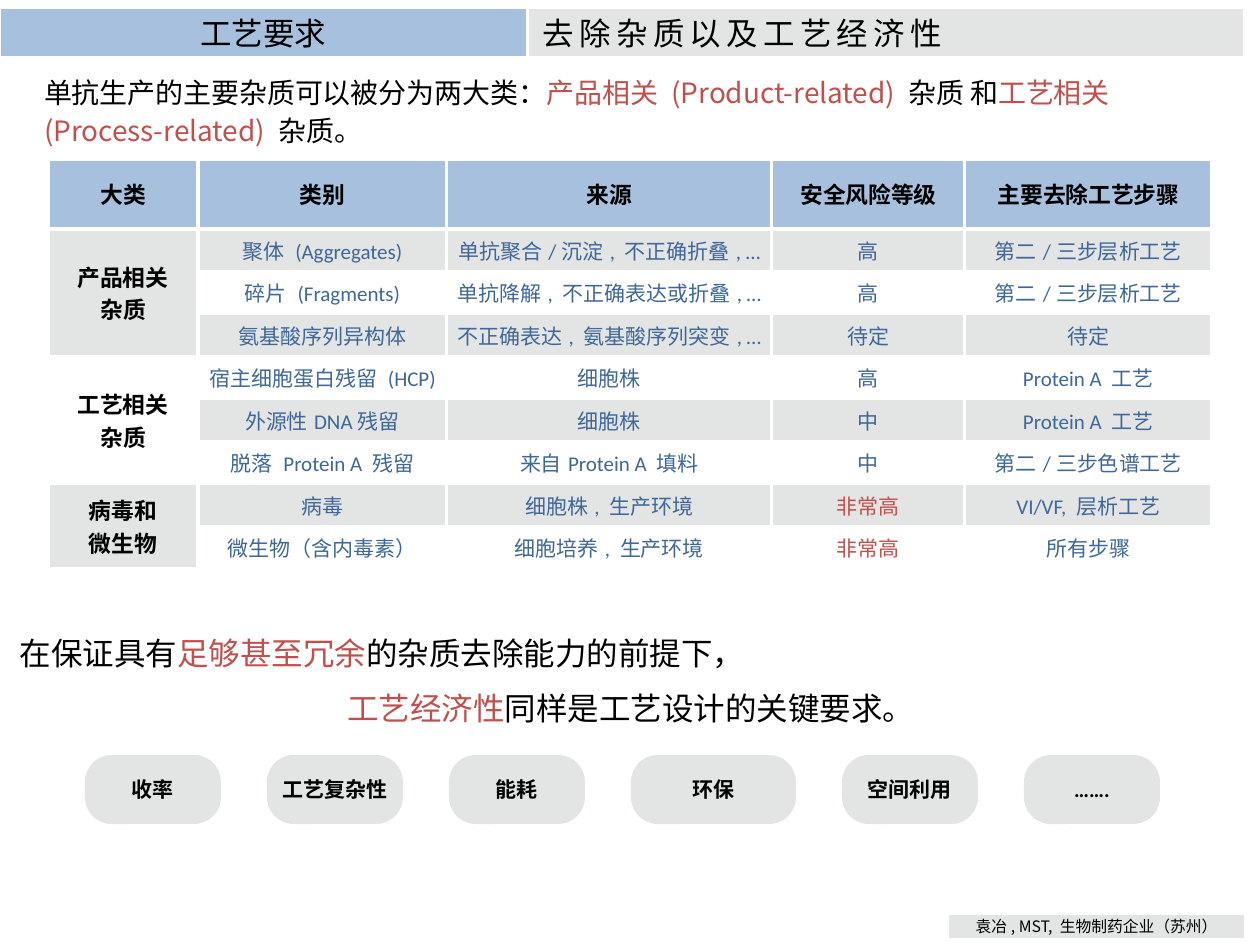
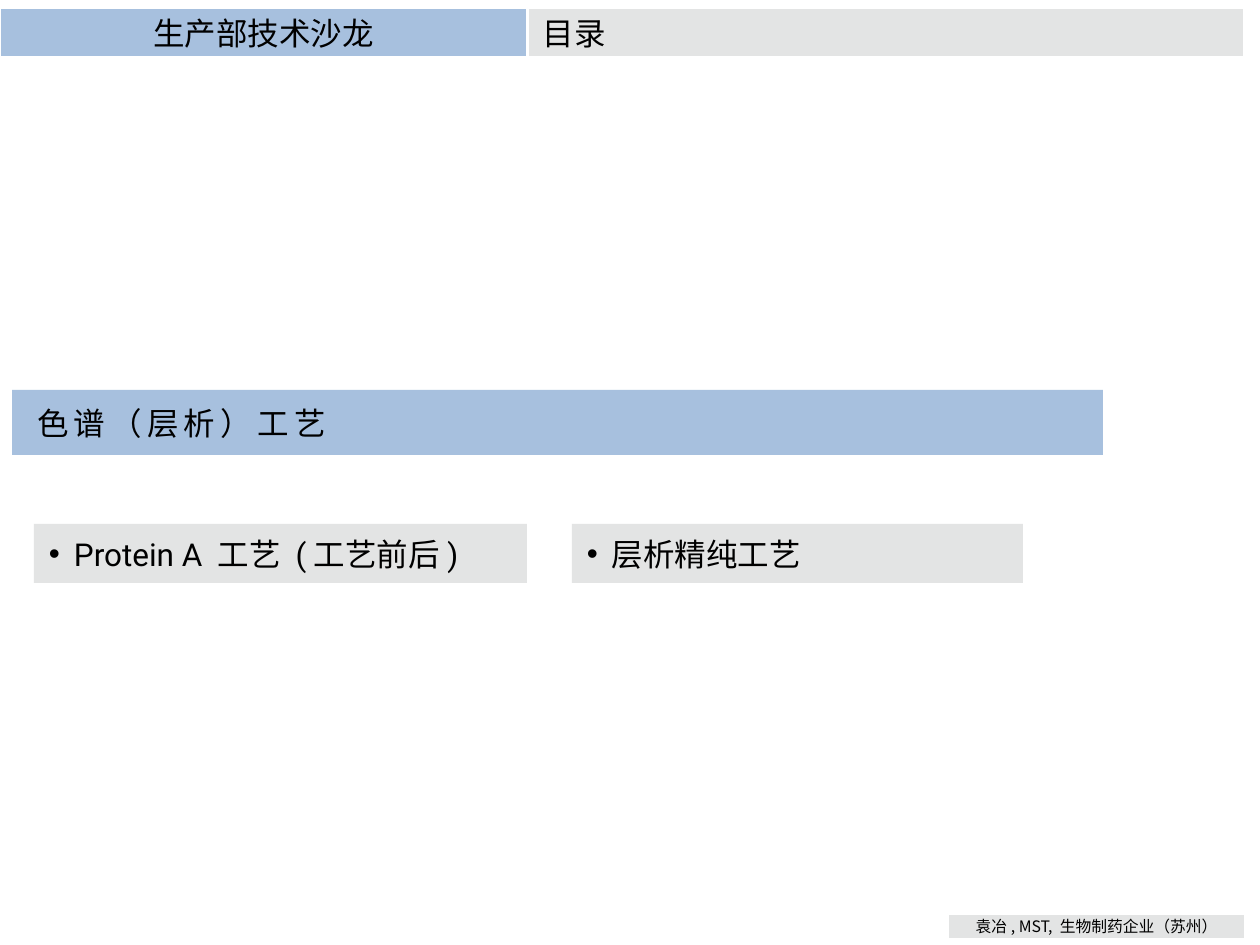
import pptx
import pptx.dml.color
import pptx.enum.shapes
import pptx.enum.text
import pptx.oxml.ns
import pptx.util
from lxml import etree

PX_PER_INCH = 126
BLUE, GREY, WHITE, BLACK = "A7C0DE", "E3E4E4", "FFFFFF", "000000"
RED, STEEL = "C0504D", "3F6797"
CJK, LATIN = "Noto Sans CJK SC", "Calibri"
FOOTER = "袁冶, MST, 生物制药企业（苏州）"
SHAPE = pptx.enum.shapes.MSO_SHAPE
ALIGN = pptx.enum.text.PP_ALIGN
MIDDLE = pptx.enum.text.MSO_ANCHOR.MIDDLE

HEADINGS = ["大类", "类别", "来源", "安全风险等级", "主要去除工艺步骤"]
IMPURITIES = [
    ("产品相关\n杂质", [
        ("聚体 (Aggregates)", "单抗聚合/沉淀, 不正确折叠, …", "高", "第二/三步层析工艺"),
        ("碎片 (Fragments)", "单抗降解, 不正确表达或折叠, …", "高", "第二/三步层析工艺"),
        ("氨基酸序列异构体", "不正确表达, 氨基酸序列突变, …", "待定", "待定"),
    ]),
    ("工艺相关\n杂质", [
        ("宿主细胞蛋白残留 (HCP)", "细胞株", "高", "Protein A 工艺"),
        ("外源性DNA残留", "细胞株", "中", "Protein A 工艺"),
        ("脱落 Protein A 残留", "来自Protein A 填料", "中", "第二/三步色谱工艺"),
    ]),
    ("病毒和\n微生物", [
        ("病毒", "细胞株, 生产环境", "非常高", "VI/VF, 层析工艺"),
        ("微生物（含内毒素）", "细胞培养, 生产环境", "非常高", "所有步骤"),
    ]),
]
FACTORS = ["收率", "工艺复杂性", "能耗", "环保", "空间利用", "……."]


def px(n):
    """Turn px into EMU."""
    return pptx.util.Emu(round(n * 914400 / PX_PER_INCH))


def rgb(value):
    """Turn a hex string into a colour."""
    return pptx.dml.color.RGBColor.from_string(value)


def sub(parent, tag, **attrs):
    """Append a drawing element to a parent."""
    return etree.SubElement(parent, pptx.oxml.ns.qn(tag), **attrs)


def inset(box, x=0, y=0):
    """Centre text vertically in a frame or cell and set its margins."""
    box.vertical_anchor = MIDDLE
    box.margin_left = box.margin_right = px(x)
    box.margin_top = box.margin_bottom = px(y)


def add_run(p, text, size=18, font=CJK, color=BLACK, bold=False, spacing=0):
    """Add one formatted run to a paragraph."""
    r = p.add_run()
    r.text = text
    r.font.size = pptx.util.Pt(size)
    r.font.bold = bold
    r.font.color.rgb = rgb(color)
    r.font.name = font
    rPr = r.font._element
    sub(rPr, "a:ea", typeface=CJK)
    if spacing:
        rPr.set("spc", str(spacing * 100))


def write(tf, text, align=ALIGN.LEFT, line=None, bullet=False, **fmt):
    """Write a string, or a list of (text, format) runs, into a frame."""
    tf.word_wrap = True
    paras = [[(t, {})] for t in text.split("\n")] if isinstance(text, str) else [text]
    for i, runs in enumerate(paras):
        p = tf.add_paragraph() if i else tf.paragraphs[0]
        p.alignment = align
        if line:
            p.line_spacing = line
        if bullet:
            pPr = p._p.get_or_add_pPr()
            pPr.set("marL", str(px(25)))
            pPr.set("indent", str(-px(25)))
            sub(pPr, "a:buFont", typeface="Arial")
            sub(pPr, "a:buChar", char="•")
        for t, extra in runs:
            add_run(p, t, **{**fmt, **extra})


def add_text(s, box, text, pad=0, **fmt):
    """Add a text box."""
    tf = s.shapes.add_textbox(*map(px, box)).text_frame
    inset(tf, pad)
    write(tf, text, **fmt)


def add_box(s, box, text, fill, kind=SHAPE.RECTANGLE, pad=0, outline=False, **fmt):
    """Add a filled shape holding text."""
    sp = s.shapes.add_shape(kind, *map(px, box))
    sp.shadow.inherit = False
    sp.fill.solid()
    sp.fill.fore_color.rgb = rgb(fill)
    if outline:
        sp.line.color.rgb = rgb(WHITE)
        sp.line.width = pptx.util.Pt(0.75)
    else:
        sp.line.fill.background()
    inset(sp.text_frame, pad)
    write(sp.text_frame, text, **fmt)
    return sp


def add_frame(prs, topic, title, spacing=0):
    """Add a blank slide with its title bands and footer."""
    s = prs.slides.add_slide(prs.slide_layouts[6])
    add_box(s, (0, 8, 527, 49), topic, BLUE, outline=True, align=ALIGN.CENTER)
    add_box(s, (528, 8, 716, 49), title, GREY, pad=15, outline=True, spacing=spacing)
    add_box(s, (948, 914, 297, 25), FOOTER, GREY, outline=True, align=ALIGN.CENTER, size=9)
    return s


def fill_cell(cell, text, fill, **fmt):
    """Write a centred cell with a fill and white borders."""
    inset(cell, 4, 4)
    write(cell.text_frame, text, align=ALIGN.CENTER, **fmt)
    tcPr = cell._tc.get_or_add_tcPr()
    for side in ("a:lnL", "a:lnR", "a:lnT", "a:lnB"):
        ln = sub(tcPr, side, w=str(pptx.util.Pt(2)))
        sub(sub(ln, "a:solidFill"), "a:srgbClr", val=WHITE)
    cell.fill.solid()
    cell.fill.fore_color.rgb = rgb(fill)


def add_impurity_table(s, x, y, w, h, head=70):
    """Add the table of impurities, grouped by main class."""
    count = 1 + sum(len(rows) for _, rows in IMPURITIES)
    table = s.shapes.add_table(count, len(HEADINGS), *map(px, (x, y, w, h))).table
    table.horz_banding = False
    for col, width in zip(table.columns, (150, 249, 325, 193, 247)):
        col.width = px(width)
    for i, row in enumerate(table.rows):
        row.height = px((h - head) / (count - 1) if i else head)
    for j, heading in enumerate(HEADINGS):
        fill_cell(table.cell(0, j), heading, BLUE, size=13, font="Lato", bold=True)
    i = 1
    for group, rows in IMPURITIES:
        first = table.cell(i, 0)
        first.merge(table.cell(i + len(rows) - 1, 0))
        fill_cell(first, group, GREY if i % 2 else WHITE, size=13, font=LATIN, bold=True)
        for values in rows:
            for j, value in enumerate(values, 1):
                fill_cell(table.cell(i, j), value, GREY if i % 2 else WHITE, size=12,
                          font=LATIN, color=RED if value == "非常高" else STEEL)
            i += 1


def add_factors(s, x, y, h, gap=46):
    """Add the row of rounded economy factors."""
    for factor in FACTORS:
        w = 165 if factor == "环保" else 136
        sp = add_box(s, (x, y, w, h), factor, GREY, kind=SHAPE.ROUNDED_RECTANGLE,
                     align=ALIGN.CENTER, size=12, font=LATIN, bold=True)
        sp.adjustments[0] = 0.39
        x += w + gap


def requirements_slide(prs):
    """Build the slide on impurities and process economy."""
    s = add_frame(prs, "工艺要求", "去除杂质以及工艺经济性", spacing=3)
    red = {"color": RED}
    add_text(s, (29, 71, 1202, 77), [
        ("单抗生产的主要杂质可以被分为两大类：", {}), ("产品相关 (Product-related) ", red),
        ("杂质 和", {}), ("工艺相关 (Process-related) ", red), ("杂质。", {}),
    ], pad=15, size=16, line=1.13)
    add_impurity_table(s, 48, 159, 1164, 410)
    add_text(s, (20, 634, 1125, 38), [
        ("在保证具有", {}), ("足够甚至冗余", red), ("的杂质去除能力的前提下，", {}),
    ], font=LATIN)
    add_text(s, (68, 689, 1125, 38), [
        ("工艺经济性", red), ("同样是工艺设计的关键要求。", {}),
    ], font=LATIN, align=ALIGN.CENTER)
    add_factors(s, 85, 755, 69)


def contents_slide(prs):
    """Build the contents slide."""
    s = add_frame(prs, "生产部技术沙龙", "目录")
    add_box(s, (12, 390, 1091, 65), "色谱（层析）工艺", BLUE, pad=25, spacing=3)
    latin = {"font": "Roboto"}
    protein_a = [("Protein A ", latin), ("工艺", {}), (" (", latin), ("工艺前后", {}), (")", latin)]
    for x, w, topic in ((34, 493, protein_a), (572, 451, "层析精纯工艺")):
        add_box(s, (x, 524, w, 59), topic, GREY, pad=15, bullet=True)


def main():
    """Build and save the presentation."""
    prs = pptx.Presentation()
    prs.slide_width, prs.slide_height = px(1260), px(945)
    requirements_slide(prs)
    contents_slide(prs)
    prs.save("out.pptx")


if __name__ == "__main__":
    main()
